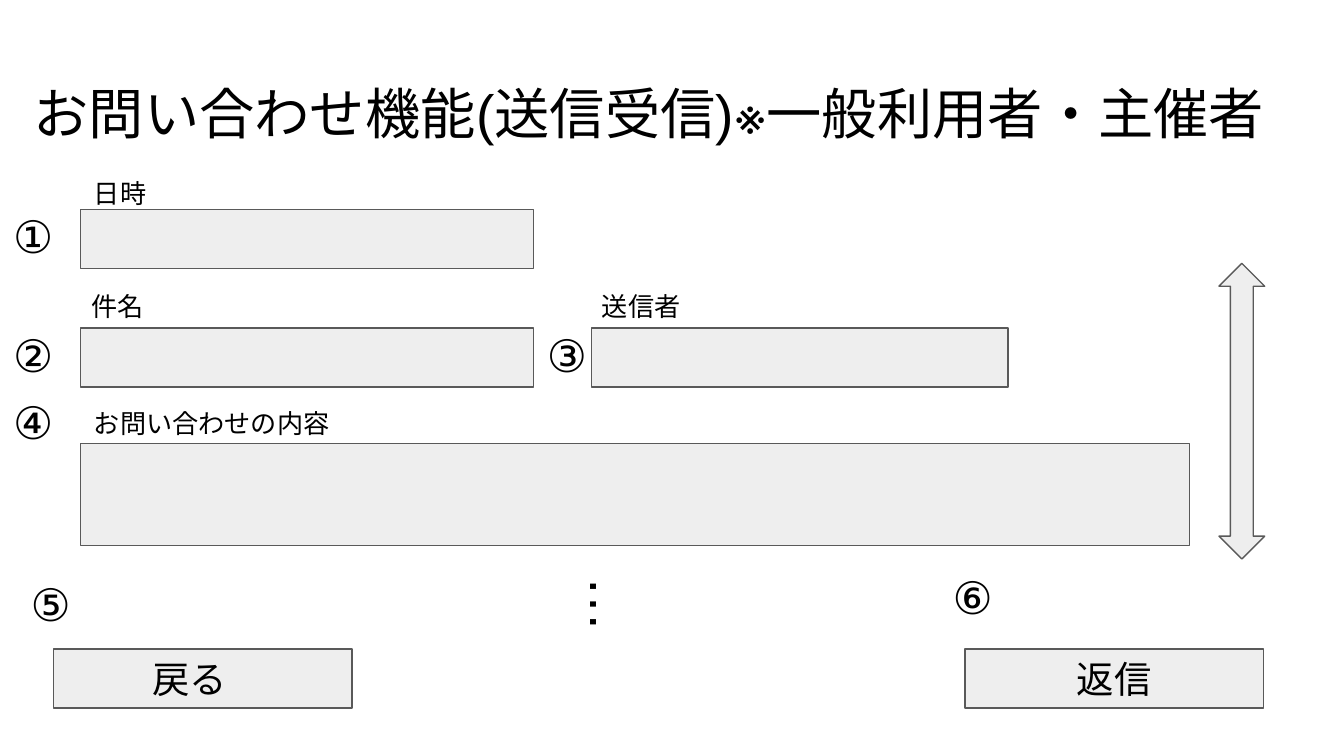
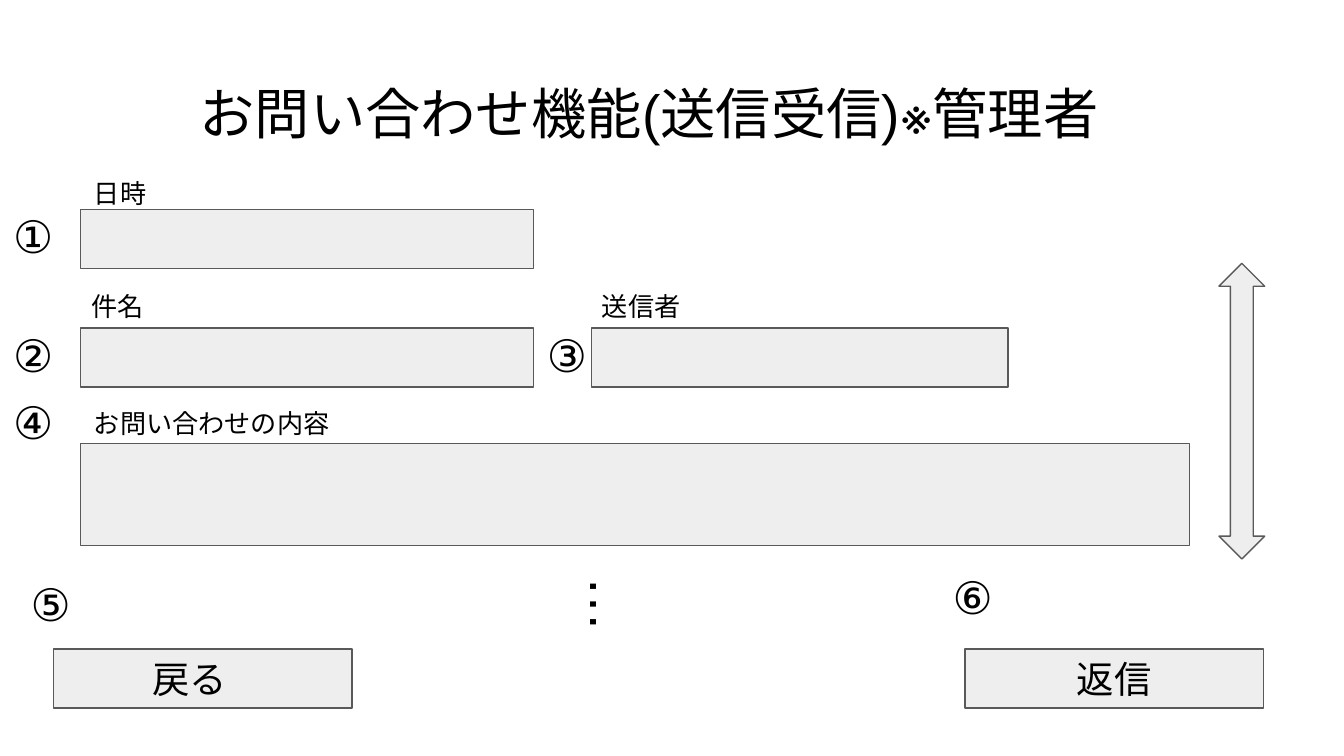
from lxml.etree import SubElement
from pptx import Presentation
from pptx.dml.color import RGBColor
from pptx.enum.lang import MSO_LANGUAGE_ID as Language
from pptx.enum.shapes import MSO_SHAPE as Preset
from pptx.enum.text import MSO_ANCHOR as Anchor, MSO_AUTO_SIZE as AutoSize, PP_ALIGN as Align
from pptx.oxml.ns import qn
from pptx.util import Inches, Pt

FONT = "Arial"
COLOURS = {"background": "FFFFFF", "text": "000000", "fill": "EEEEEE", "line": "595959"}
INSET = 0.1
TITLE_INSET = 0.05
SLIDE_WIDTH = 10
SLIDE_HEIGHT = SLIDE_WIDTH * 9 / 16
TITLE_BOX = (0, 0.49, 9.66, 0.63)
SCROLL_BOX = (9.07, 1.96, 0.34, 2.2)
ELLIPSIS_BOX = (4.25, 4.14, 0.61, 0.71)
MARKER_SIZE = (0.6, 0.61)
LABEL_HEIGHT = 0.24
TITLES = ["お問い合わせ機能(送信受信)※一般利用者・主催者", "お問い合わせ機能(送信受信)※管理者"]

FIELDS = [
    {"box": (0.6, 1.56, 3.37, 0.44), "label": "日時", "label_offset": (0, -0.34),
     "label_width": 1.48, "marker": "①", "marker_offset": (-0.6, -0.11)},
    {"box": (0.6, 2.44, 3.37, 0.44), "label": "件名", "label_offset": (-0.02, -0.38),
     "label_width": 1.48, "marker": "②", "marker_offset": (-0.6, -0.1)},
    {"box": (4.4, 2.44, 3.1, 0.44), "label": "送信者", "label_offset": (-0.02, -0.38),
     "label_width": 1.36, "marker": "③", "marker_offset": (-0.43, -0.1)},
    {"box": (0.6, 3.3, 8.25, 0.76), "label": "お問い合わせの内容", "label_offset": (0, -0.37),
     "label_width": 3.78, "marker": "④", "marker_offset": (-0.6, -0.46)},
]
BUTTONS = [
    {"box": (0.4, 4.83, 2.22, 0.44), "caption": "戻る", "right_inset": 0.3,
     "marker": "⑤", "marker_offset": (-0.27, -0.64)},
    {"box": (7.18, 4.83, 2.22, 0.44), "caption": "返信", "right_inset": INSET,
     "marker": "⑥", "marker_offset": (-0.19, -0.69)},
]


def colour(name):
    """Return the named palette colour."""
    return RGBColor.from_string(COLOURS[name])


def write_text(shape, text, size, align=Align.LEFT, anchor=Anchor.TOP,
               auto_size=AutoSize.NONE, left_inset=INSET, right_inset=INSET):
    """Write one formatted paragraph into a shape."""
    frame = shape.text_frame
    frame_format = {"word_wrap": True, "auto_size": auto_size, "vertical_anchor": anchor,
                    "margin_left": Inches(left_inset), "margin_right": Inches(right_inset),
                    "margin_top": Inches(INSET), "margin_bottom": Inches(INSET)}
    for name, value in frame_format.items():
        setattr(frame, name, value)
    paragraph = frame.paragraphs[0]
    paragraph.alignment = align
    run = paragraph.add_run()
    run.text = text
    font_format = {"name": FONT, "size": Pt(size), "language_id": Language.JAPANESE}
    for name, value in font_format.items():
        setattr(run.font, name, value)
    run.font.color.rgb = colour("text")
    SubElement(run._r.get_or_add_rPr(), qn("a:ea")).set("typeface", FONT)


def add_text(slide, box, text, size, **text_format):
    """Add a text box and return it."""
    shape = slide.shapes.add_textbox(*map(Inches, box))
    write_text(shape, text, size, **text_format)
    return shape


def add_panel(slide, box, preset=Preset.RECTANGLE):
    """Add a grey outlined shape and return it."""
    shape = slide.shapes.add_shape(preset, *map(Inches, box))
    shape.shadow.inherit = False
    shape.fill.solid()
    shape.fill.fore_color.rgb = colour("fill")
    shape.line.color.rgb = colour("line")
    shape.line.width = Pt(0.75)
    return shape


def add_marker(slide, box, text, offset):
    """Add a circled number offset from the corner of a box."""
    position = (box[0] + offset[0], box[1] + offset[1])
    add_text(slide, position + MARKER_SIZE, text, 24, auto_size=AutoSize.SHAPE_TO_FIT_TEXT)


def add_field(slide, box, label, label_offset, label_width, marker, marker_offset):
    """Add an input field with its label and number."""
    add_panel(slide, box)
    label_box = (box[0] + label_offset[0], box[1] + label_offset[1], label_width, LABEL_HEIGHT)
    add_text(slide, label_box, label, 14)
    add_marker(slide, box, marker, marker_offset)


def add_button(slide, box, caption, right_inset, marker, marker_offset):
    """Add a captioned button with its number."""
    button = add_panel(slide, box)
    write_text(button, caption, 20, Align.CENTER, Anchor.MIDDLE, right_inset=right_inset)
    add_marker(slide, box, marker, marker_offset)


def add_title(slide, box, text):
    """Move and fill the title placeholder."""
    title = slide.shapes.title
    for name, value in zip(("left", "top", "width", "height"), box):
        setattr(title, name, Inches(value))
    write_text(title, text, 29.6, Align.CENTER,
               left_inset=TITLE_INSET, right_inset=TITLE_INSET)


def add_scroll_arrow(slide, box):
    """Add the vertical double arrow that shows scrolling."""
    arrow = add_panel(slide, box, Preset.UP_DOWN_ARROW)
    arrow.adjustments[0] = arrow.adjustments[1] = 0.5


def add_ellipsis(slide, box):
    """Add the upright ellipsis below the fields."""
    ellipsis = add_text(slide, box, "…", 30, auto_size=AutoSize.SHAPE_TO_FIT_TEXT)
    ellipsis.rotation = 90


def add_inquiry_slide(presentation, title):
    """Add one inquiry screen layout."""
    slide = presentation.slides.add_slide(presentation.slide_layouts[5])
    slide.background.fill.solid()
    slide.background.fill.fore_color.rgb = colour("background")
    add_title(slide, TITLE_BOX, title)
    add_scroll_arrow(slide, SCROLL_BOX)
    for field in FIELDS:
        add_field(slide, **field)
    for button in BUTTONS:
        add_button(slide, **button)
    add_ellipsis(slide, ELLIPSIS_BOX)


def main():
    """Build and save the presentation."""
    presentation = Presentation()
    presentation.slide_width = Inches(SLIDE_WIDTH)
    presentation.slide_height = Inches(SLIDE_HEIGHT)
    for title in TITLES:
        add_inquiry_slide(presentation, title)
    presentation.save("out.pptx")


if __name__ == "__main__":
    main()
